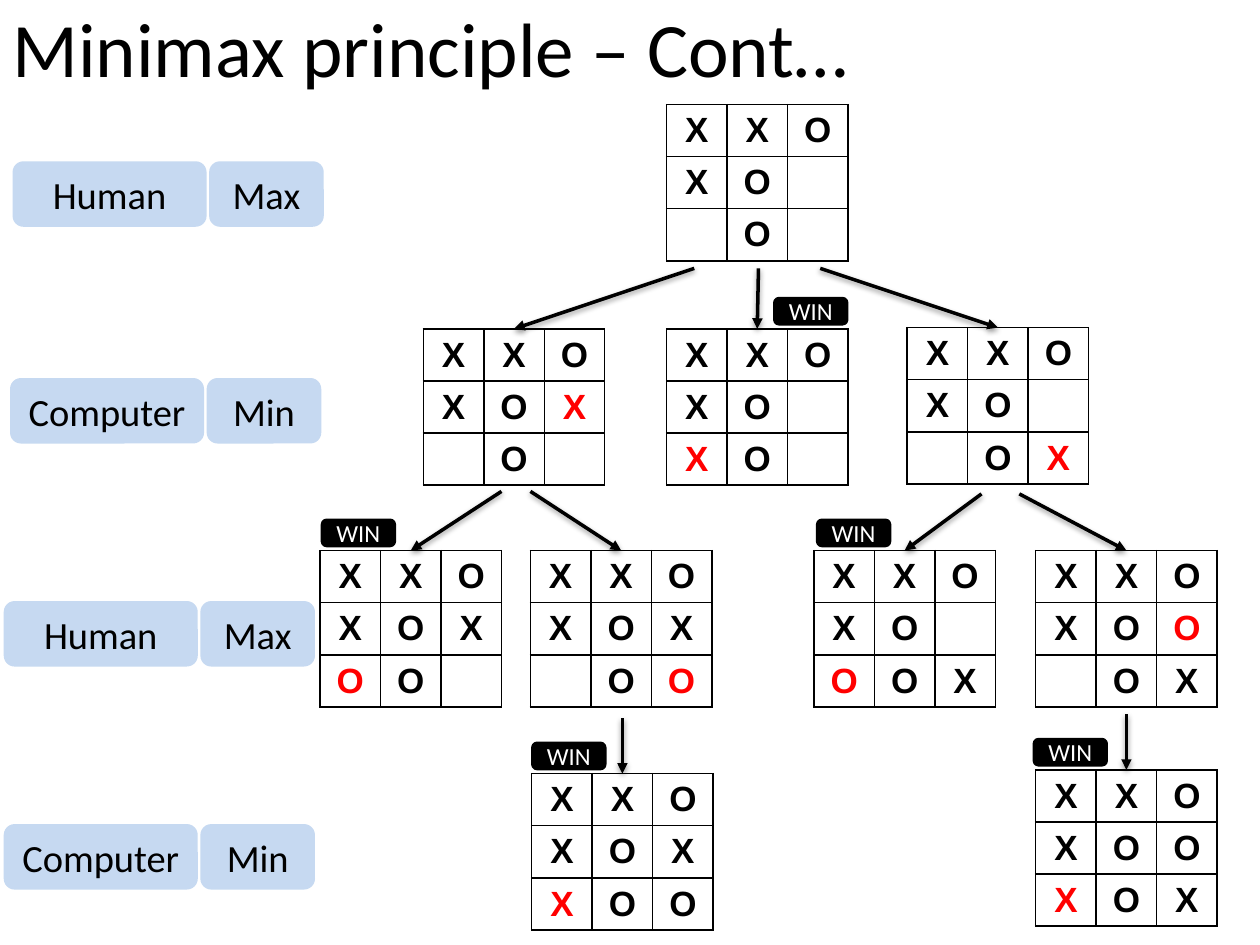
from dataclasses import dataclass

from lxml.etree import SubElement
from pptx import Presentation
from pptx.dml.color import RGBColor as RGB
from pptx.enum.shapes import MSO_CONNECTOR as CONN, MSO_SHAPE as SHAPE
from pptx.enum.text import MSO_ANCHOR as ANCHOR, PP_ALIGN as ALIGN
from pptx.oxml import parse_xml
from pptx.oxml.ns import nsdecls, qn
from pptx.util import Inches, Pt


@dataclass(frozen=True)
class Theme:
    black: str = "000000"
    white: str = "FFFFFF"
    move: str = "FF0000"
    label: str = "C6D9F1"
    body_font: str = "Calibri"
    board_font: str = "Arial"
    title_size: int = 44
    label_size: int = 22
    mark_size: int = 20
    win_size: int = 14
    cell_width: float = 0.48
    cell_height: float = 0.41


class GameTree:
    """Draws the parts of a tic-tac-toe game tree on one slide."""

    def __init__(self, slide, theme):
        self.s = slide
        self.t = theme

    def add_text(self, tf, text, size, color, font=None, bold=False, align=ALIGN.CENTER):
        p = tf.paragraphs[0]
        p.alignment = align
        r = p.add_run()
        r.text = text
        r.font.name = font or self.t.body_font
        r.font.size = Pt(size)
        r.font.bold = bold
        r.font.color.rgb = RGB.from_string(color)

    def title(self, text):
        tf = self.s.shapes.add_textbox(Inches(0), Inches(-0.07), Inches(9.58), Inches(0.88)).text_frame
        tf.word_wrap = True
        tf.vertical_anchor = ANCHOR.MIDDLE
        self.add_text(tf, text, self.t.title_size, self.t.black, align=ALIGN.LEFT)

    def box(self, x, y, w, h, text, size, color, fill, line=None):
        sp = self.s.shapes.add_shape(SHAPE.ROUNDED_RECTANGLE, Inches(x), Inches(y), Inches(w), Inches(h))
        sp.shadow.inherit = False
        sp.fill.solid()
        sp.fill.fore_color.rgb = RGB.from_string(fill)
        if line:
            sp.line.color.rgb = RGB.from_string(line)
            sp.line.width = Pt(2)
        else:
            sp.line.fill.background()
        tf = sp.text_frame
        tf.word_wrap = True
        tf.vertical_anchor = ANCHOR.MIDDLE
        tf.margin_left = tf.margin_right = tf.margin_top = tf.margin_bottom = 0
        self.add_text(tf, text, size, color)

    def player(self, x, y, name, goal):
        for left, width, text in ((x, 1.54, name), (x + 1.56, 0.91, goal)):
            self.box(left, y, width, 0.52, text, self.t.label_size, self.t.black, self.t.label)

    def win(self, x, y):
        self.box(x, y, 0.57, 0.2, "WIN", self.t.win_size, self.t.white, self.t.black, self.t.black)

    def board(self, x, y, rows, move):
        w, h = self.t.cell_width, self.t.cell_height
        table = self.s.shapes.add_table(3, 3, Inches(x), Inches(y), Inches(3 * w), Inches(3 * h)).table
        table.first_row = table.horz_banding = False
        for i in range(3):
            table.columns[i].width = Inches(w)
            table.rows[i].height = Inches(h)
        for i, mark in enumerate(rows.replace(" ", "")):
            cell = table.cell(*divmod(i, 3))
            cell.fill.background()
            cell.vertical_anchor = ANCHOR.MIDDLE
            cell.margin_top = cell.margin_bottom = Inches(0.04)
            self.borders(cell)
            if mark != ".":
                color = self.t.move if i == move else self.t.black
                self.add_text(cell.text_frame, mark, self.t.mark_size, color, self.t.board_font, True)

    def borders(self, cell):
        tc_pr = cell._tc.get_or_add_tcPr()
        for i, side in enumerate(("lnL", "lnR", "lnT", "lnB")):
            tc_pr.insert(i, parse_xml(
                f'<a:{side} {nsdecls("a")} w="12700"><a:solidFill>'
                f'<a:srgbClr val="{self.t.black}"/></a:solidFill></a:{side}>'))

    def arrow(self, start, end):
        c = self.s.shapes.add_connector(CONN.STRAIGHT, *map(Inches, start + end))
        c.line.color.rgb = RGB.from_string(self.t.black)
        c.line.width = Pt(2)
        SubElement(c.line._get_or_add_ln(), qn("a:tailEnd"), type="triangle")
        c._element.spPr.append(parse_xml(
            f'<a:effectLst {nsdecls("a")}>'
            '<a:outerShdw blurRad="40000" dist="20000" dir="5400000" rotWithShape="0">'
            f'<a:srgbClr val="{self.t.black}"><a:alpha val="38000"/></a:srgbClr>'
            '</a:outerShdw></a:effectLst>'))


@dataclass(frozen=True)
class Board:
    x: float
    y: float
    rows: str
    move: int = -1
    arrow_from: tuple = ()
    win_x: float = 0


BOARDS = [
    Board(5.29, 0.83, "XXO XO. .O."),
    Board(3.36, 2.61, "XXO XOX .O.", 5, (5.51, 2.13)),
    Board(5.29, 2.61, "XXO XO. XO.", 6, (6.02, 2.13), 6.15),
    Board(7.2, 2.6, "XXO XO. .OX", 8, (6.51, 2.13)),
    Board(2.54, 4.37, "XXO XOX OO.", 6, (3.98, 3.9), 2.56),
    Board(4.21, 4.37, "XXO XOX .OO", 8, (4.21, 3.9)),
    Board(6.46, 4.37, "XXO XO. OOX", 6, (7.79, 3.92), 6.49),
    Board(8.22, 4.37, "XXO XOO .OX", 5, (8.09, 3.92)),
    Board(4.22, 6.14, "XXO XOX XOO", 6, (4.94, 5.7), 4.23),
    Board(8.22, 6.11, "XXO XOO XOX", 6, (8.94, 5.67), 8.21),
]
PLAYERS = [
    (0.1, 1.28, "Human", "Max"),
    (0.08, 3, "Computer", "Min"),
    (0.03, 4.77, "Human", "Max"),
    (0.03, 6.54, "Computer", "Min"),
]


def main():
    prs = Presentation()
    prs.slide_width, prs.slide_height = Inches(10), Inches(7.5)
    theme = Theme()
    tree = GameTree(prs.slides.add_slide(prs.slide_layouts[6]), theme)
    tree.title("Minimax principle – Cont…")
    for b in BOARDS:
        tree.board(b.x, b.y, b.rows, b.move)
    for player in PLAYERS:
        tree.player(*player)
    for b in BOARDS:
        if b.arrow_from:
            tree.arrow(b.arrow_from, (b.x + 1.5 * theme.cell_width, b.y))
        if b.win_x:
            tree.win(b.win_x, b.y - 0.24)
    prs.save("out.pptx")


if __name__ == "__main__":
    main()
